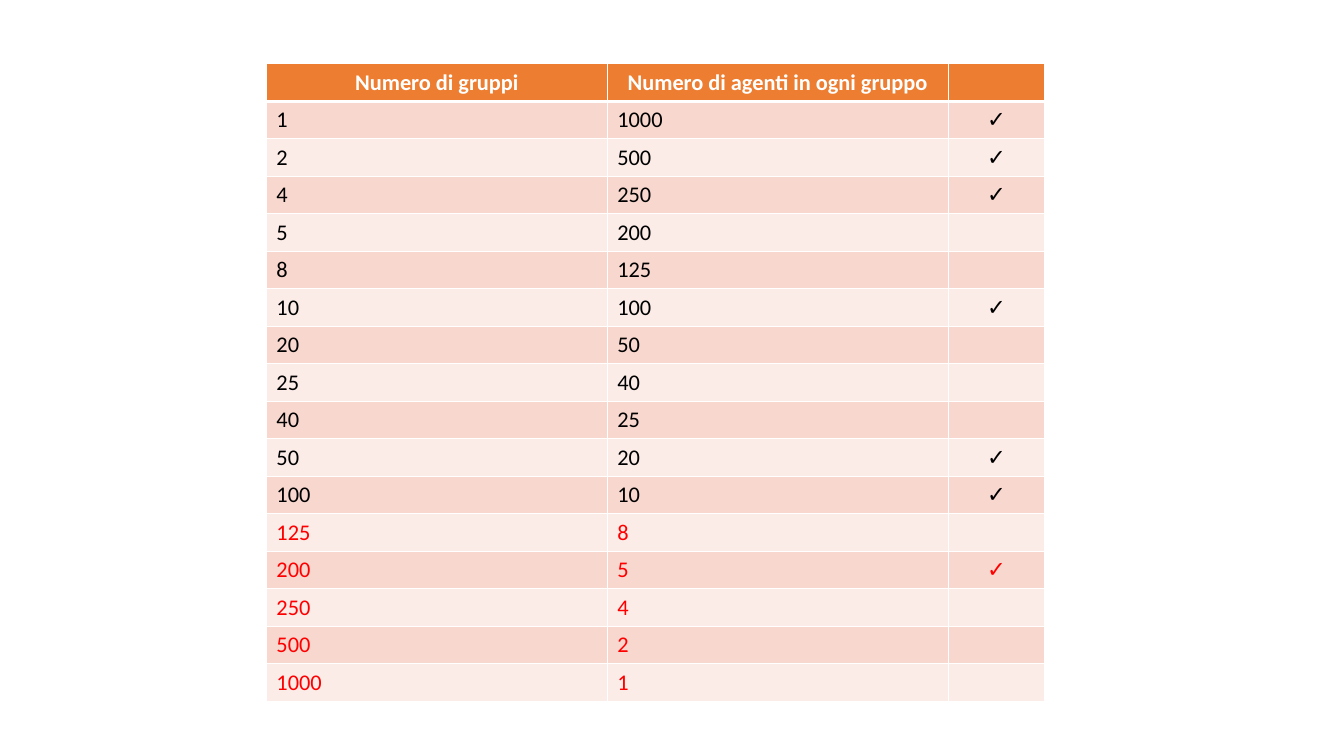
from lxml.etree import SubElement as Sub
from pptx import Presentation
from pptx.dml.color import RGBColor as Rgb
from pptx.enum.text import PP_ALIGN as Align
from pptx.oxml.ns import qn
from pptx.util import Pt

HEAD = ("Numero di gruppi", "Numero di agenti in ogni gruppo", "")
ROWS = [
    ("1", "1000", "✓"),
    ("2", "500", "✓"),
    ("4", "250", "✓"),
    ("5", "200", ""),
    ("8", "125", ""),
    ("10", "100", "✓"),
    ("20", "50", ""),
    ("25", "40", ""),
    ("40", "25", ""),
    ("50", "20", "✓"),
    ("100", "10", "✓"),
    ("125", "8", ""),
    ("200", "5", "✓"),
    ("250", "4", ""),
    ("500", "2", ""),
    ("1000", "1", ""),
]
RED_FROM = 125
WIDTHS = (243.5, 243.5, 69)
LEFT, TOP, HIGH = 190.3, 45.6, 26.8
SIZE = 16
ORANGE, WHITE, BLACK, RED = "ED7D31", "FFFFFF", "000000", "FF0000"
BANDS = ("FCECE8", "F8D7CE")


def color(code):
    return Rgb.from_string(code)


def edge(cell, side, width):
    line = Sub(cell._tc.get_or_add_tcPr(), qn("a:ln" + side), w=str(Pt(width)))
    fill = Sub(line, qn("a:solidFill"))
    Sub(fill, qn("a:srgbClr"), val=WHITE)


def style(cell, text, fill, ink, bold, mid, edges):
    for side, width in edges.items():
        edge(cell, side, width)
    cell.fill.solid()
    cell.fill.fore_color.rgb = color(fill)
    para = cell.text_frame.paragraphs[0]
    para.text = text
    if mid:
        para.alignment = Align.CENTER
    for run in para.runs:
        font = run.font
        font.name, font.size, font.bold = "Calibri", Pt(SIZE), bold
        font.color.rgb = color(ink)
    if not text:
        Sub(para._p, qn("a:endParaRPr"), sz=str(SIZE * 100))


def main():
    deck = Presentation()
    deck.slide_width, deck.slide_height = Pt(960), Pt(540)
    slide = deck.slides.add_slide(deck.slide_layouts[6])
    lines = [HEAD] + ROWS
    frame = slide.shapes.add_table(
        len(lines), len(HEAD), Pt(LEFT), Pt(TOP),
        Pt(sum(WIDTHS)), Pt(HIGH * len(lines)))
    table = frame.table
    for col, width in zip(table.columns, WIDTHS):
        col.width = Pt(width)
    for r, line in enumerate(lines):
        table.rows[r].height = Pt(HIGH)
        head = r == 0
        if head:
            fill, ink = ORANGE, WHITE
        else:
            fill = BANDS[r % 2]
            ink = RED if int(line[0]) >= RED_FROM else BLACK
        edges = {"L": 1, "R": 1, "T": 3 if r == 1 else 1, "B": 3 if head else 1}
        for c, text in enumerate(line):
            mark = head or c == 2
            style(table.cell(r, c), text, fill, ink, mark, mark, edges)
    deck.save("out.pptx")


if __name__ == "__main__":
    main()
